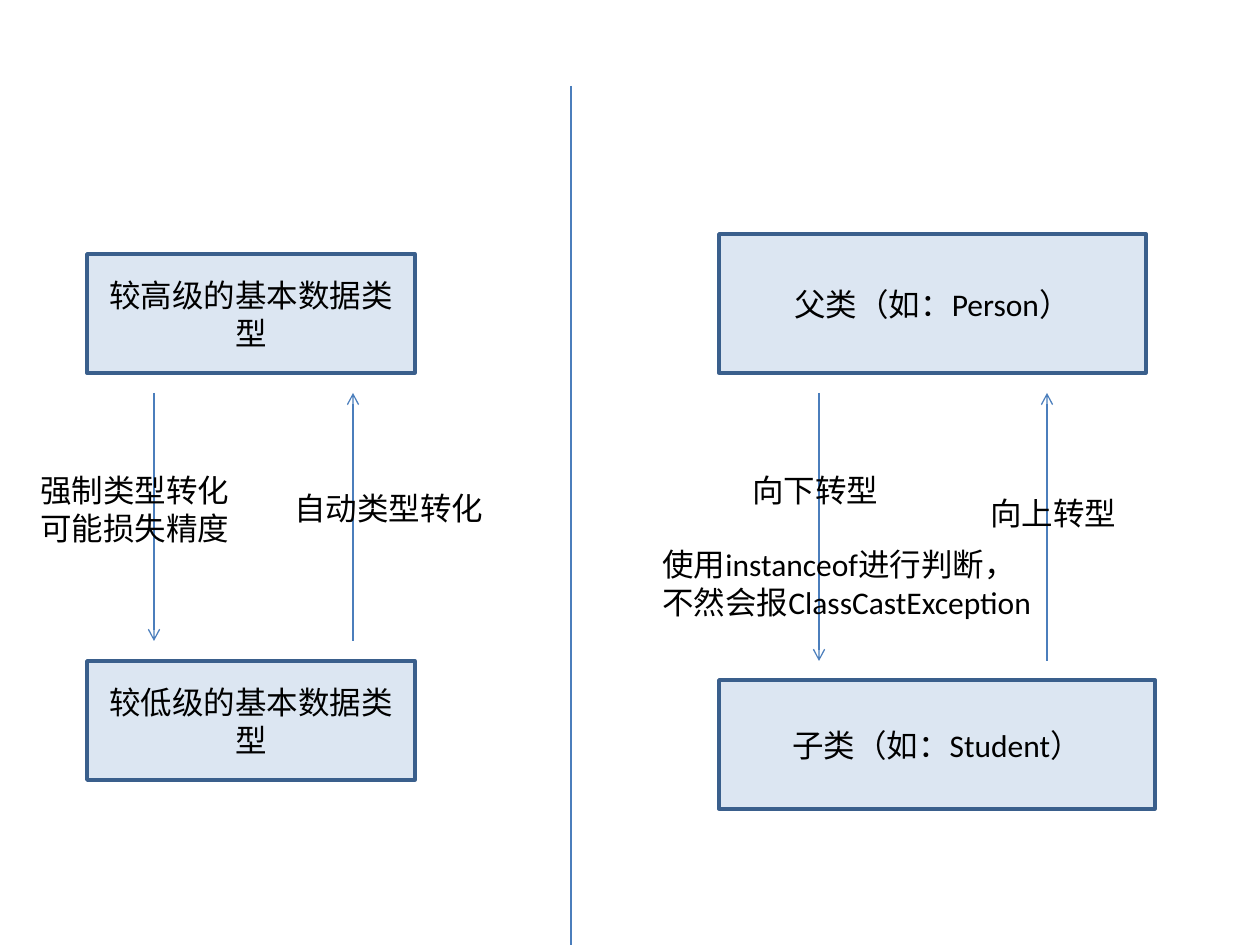
from lxml import etree
from pptx import Presentation
from pptx.dml.color import RGBColor
from pptx.enum.shapes import MSO_CONNECTOR, MSO_SHAPE
from pptx.enum.text import MSO_ANCHOR, MSO_AUTO_SIZE, PP_ALIGN
from pptx.oxml.ns import qn
from pptx.util import Emu, Pt

RECTANGLE = MSO_SHAPE.RECTANGLE
STRAIGHT = MSO_CONNECTOR.STRAIGHT
MIDDLE = MSO_ANCHOR.MIDDLE
GROW = MSO_AUTO_SIZE.SHAPE_TO_FIT_TEXT
CENTER, LEFT = PP_ALIGN.CENTER, PP_ALIGN.LEFT

EMU_PER_PX = 914400 / 126
PAGE_WIDTH, PAGE_HEIGHT = 1260, 945
ARROW_TOP = 393
BLANK_LAYOUT = 6


def px(length):
    return Emu(round(length * EMU_PER_PX))


def color(value):
    return RGBColor.from_string(value)


def write_text(frame, lines, align):
    frame.word_wrap = True
    for index, line in enumerate(lines):
        para = frame.paragraphs[0] if index == 0 else frame.add_paragraph()
        para.text = line
        para.alignment = align
        para.font.name = "Calibri"
        para.font.size = Pt(18)
        para.font.color.rgb = color("000000")


def add_type_box(page, left, top, width, height, text):
    box = page.shapes.add_shape(RECTANGLE, px(left), px(top), px(width), px(height))
    box.shadow.inherit = False
    box.fill.solid()
    box.fill.fore_color.rgb = color("DCE6F2")
    box.line.color.rgb = color("3A5F8C")
    box.line.width = Pt(2)
    box.text_frame.vertical_anchor = MIDDLE
    write_text(box.text_frame, [text], CENTER)


def add_label(page, left, top, width, height, *lines):
    box = page.shapes.add_textbox(px(left), px(top), px(width), px(height))
    box.text_frame.auto_size = GROW
    write_text(box.text_frame, lines, LEFT)


def add_vertical_line(page, x, start, end, arrow=True):
    line = page.shapes.add_connector(STRAIGHT, px(x), px(start), px(x), px(end))
    line.line.color.rgb = color("4B7EBC")
    line.line.width = Pt(0.75)
    if arrow:
        outline = line.line._get_or_add_ln()
        etree.SubElement(outline, qn("a:tailEnd"), type="arrow")
    etree.SubElement(line._element.spPr, qn("a:effectLst"))


def add_conversion_arrows(page, down_x, up_x, bottom):
    add_vertical_line(page, down_x, ARROW_TOP, bottom)
    add_vertical_line(page, up_x, bottom, ARROW_TOP)


def add_basic_types(page):
    add_type_box(page, 87, 254, 328, 119, "较高级的基本数据类型")
    add_type_box(page, 87, 661, 328, 119, "较低级的基本数据类型")
    add_conversion_arrows(page, 154, 353, 641)
    add_label(page, 282, 483, 218, 50, "自动类型转化")
    add_label(page, 28, 465, 251, 88, "强制类型转化", "可能损失精度")


def add_class_types(page):
    add_type_box(page, 719, 234, 427, 139, "父类（如：Person）")
    add_type_box(page, 719, 680, 436, 129, "子类（如：Student）")
    add_conversion_arrows(page, 819, 1047, 661)
    add_label(page, 978, 488, 218, 50, "向上转型")
    add_label(page, 740, 465, 218, 50, "向下转型")
    add_label(page, 650, 539, 397, 88,
              "使用instanceof进行判断，不然会报ClassCastException")


def main():
    deck = Presentation()
    deck.slide_width, deck.slide_height = px(PAGE_WIDTH), px(PAGE_HEIGHT)
    page = deck.slides.add_slide(deck.slide_layouts[BLANK_LAYOUT])
    add_basic_types(page)
    add_vertical_line(page, 571, 86, PAGE_HEIGHT, arrow=False)
    add_class_types(page)
    deck.save("out.pptx")


if __name__ == "__main__":
    main()
